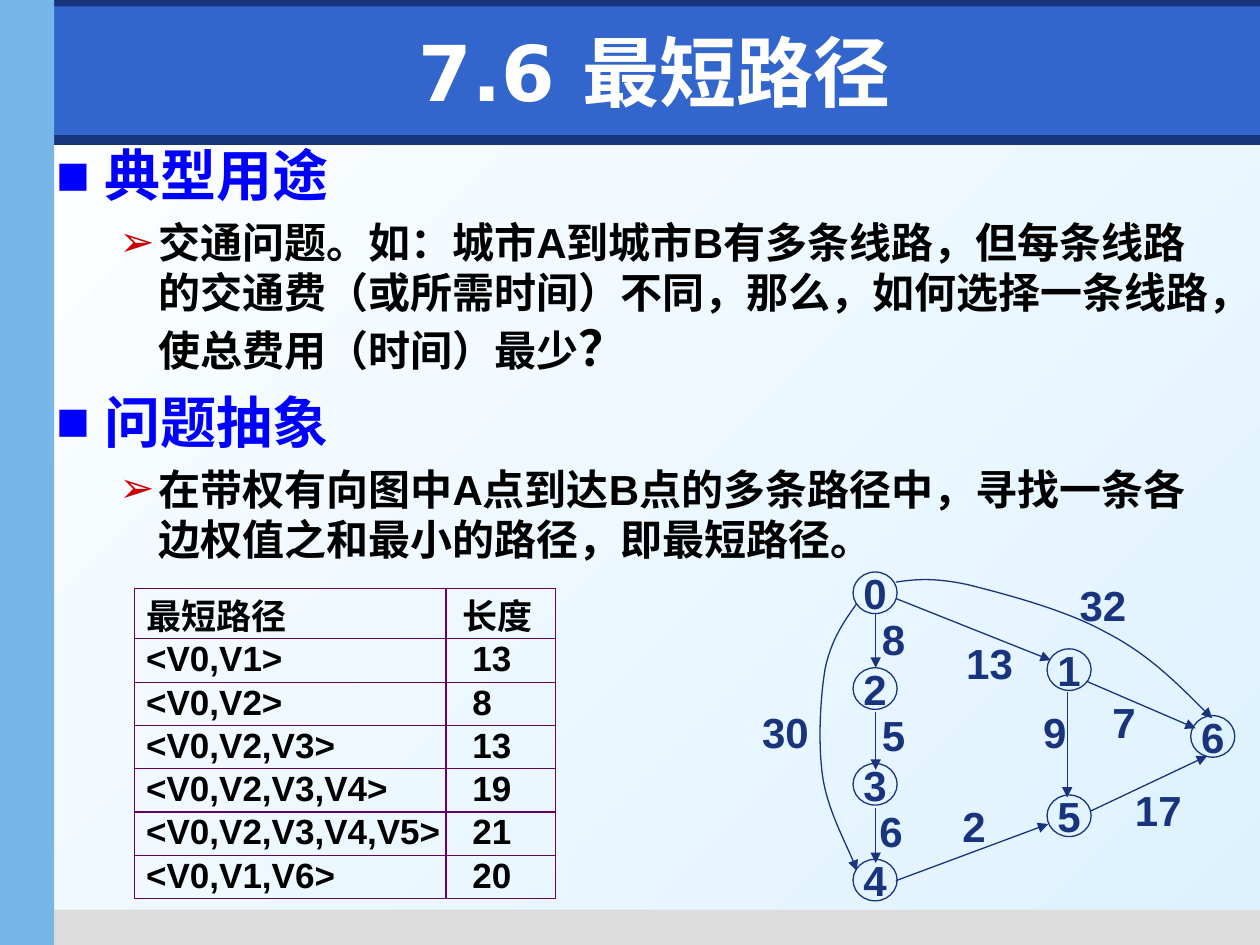
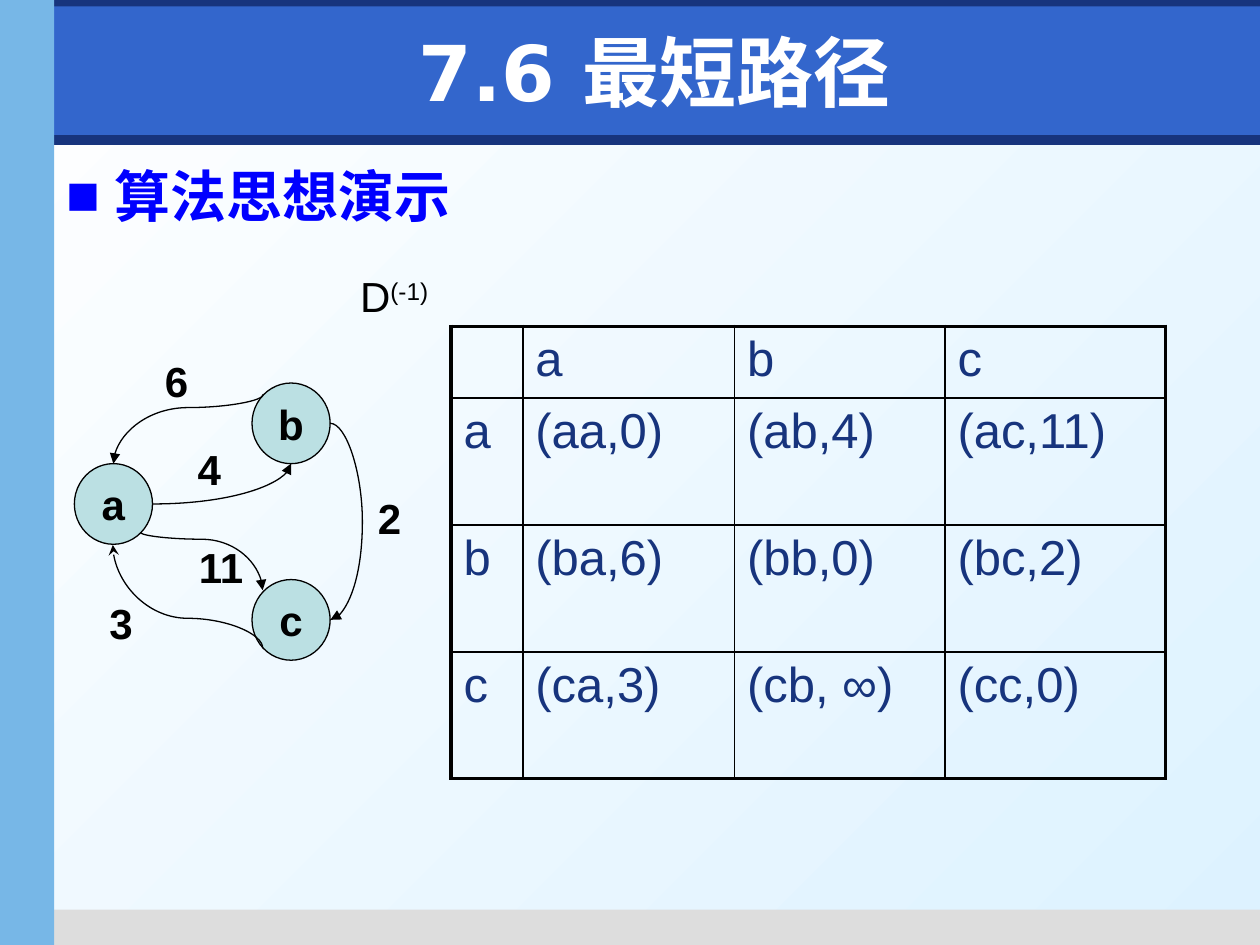
from lxml.etree import SubElement
from pptx import Presentation
from pptx.dml.color import RGBColor
from pptx.enum.shapes import MSO_CONNECTOR, MSO_SHAPE
from pptx.enum.text import MSO_ANCHOR, PP_ALIGN
from pptx.oxml.ns import qn
from pptx.util import Emu, Inches, Pt

NAVY = RGBColor(0x17, 0x34, 0x7D)
BLUE = RGBColor(0x33, 0x66, 0xCC)
SKY = RGBColor(0x77, 0xB7, 0xE7)
PALE = RGBColor(0xDD, 0xF2, 0xFF)
GREY = RGBColor(0xDD, 0xDD, 0xDD)
WHITE = RGBColor(0xFF, 0xFF, 0xFF)
BLACK = RGBColor(0, 0, 0)
HEADING = RGBColor(0, 0, 0xFF)
RED = RGBColor(0xCC, 0, 0)
PURPLE = RGBColor(0x66, 0, 0x66)
TEAL = RGBColor(0xBB, 0xE0, 0xE3)

# The slide is a grid of 100 columns by 75 rows
COLS, ROWS = 100, 75
UNIT = Inches(0.1)
TITLE = "7.6 最短路径"


def g(n):
    return Emu(round(n * UNIT))


def add_run(p, text, size, color, bold=True, font="Arial"):
    r = p.add_run()
    r.text = text
    r.font.size, r.font.bold, r.font.name = Pt(size), bold, font
    r.font.color.rgb = color
    return r


def paint(sp, fill=None, line=None):
    sp.shadow.inherit = False
    if fill is None:
        sp.fill.background()
    else:
        sp.fill.solid()
        sp.fill.fore_color.rgb = fill
    if line is None:
        sp.line.fill.background()
    else:
        sp.line.color.rgb = line
        sp.line.width = Pt(0.75)


def add_arrowhead(sp, end="tailEnd", kind="triangle"):
    ln = sp.line._get_or_add_ln()
    SubElement(ln, qn("a:" + end), type=kind)


# Shared look
def style_layout(prs, layout, s):
    """Gradient on the master, bands on the layout behind its placeholders."""
    fill = prs.slide_master.background.fill
    fill.gradient()
    fill.gradient_angle = 315
    for stop, color in zip(fill.gradient_stops, (WHITE, PALE)):
        stop.color.rgb = color
    bands = [
        (0.4, 10.7, COLS - 0.4, 0.8, NAVY),
        (3.5, 72.2, COLS - 3.5, 2.8, GREY),
        (0, 0, COLS, 2.1, NAVY),
        (4.3, 0.5, COLS - 4.3, 10.2, BLUE),
        (0, 0, 4.3, ROWS, SKY),
    ]
    for i, (x, y, w, h, color) in enumerate(bands):
        sp = s.shapes.add_shape(MSO_SHAPE.RECTANGLE, g(x), g(y), g(w), g(h))
        paint(sp, color)
        layout.shapes.element.insert(2 + i, sp.element)


def add_title(s):
    sp = s.shapes.title
    sp.left, sp.top, sp.width, sp.height = g(5.9), g(1.3), g(92.1), g(8.7)
    tf = sp.text_frame
    tf.vertical_anchor = MSO_ANCHOR.MIDDLE
    p = tf.paragraphs[0]
    p.alignment = PP_ALIGN.CENTER
    add_run(p, TITLE, 44, WHITE, font="DejaVu Sans")


# Text
def add_text(s, x, y, w, h, wrap=False):
    tf = s.shapes.add_textbox(g(x), g(y), g(w), g(h)).text_frame
    tf.word_wrap = wrap
    return tf


def add_label(s, x, y, text, color):
    tf = add_text(s, x, y, 2.1 * len(text) + 2.1, 5.2)
    add_run(tf.paragraphs[0], text, 24, color)


def set_bullet(p, char, color, left, hang):
    pPr = p._p.get_or_add_pPr()
    pPr.set("marL", str(g(left)))
    pPr.set("indent", str(-g(hang)))
    clr = SubElement(pPr, qn("a:buClr"))
    SubElement(clr, qn("a:srgbClr"), val=str(color))
    SubElement(pPr, qn("a:buFont"), typeface="Arial")
    SubElement(pPr, qn("a:buChar"), char=char)


def add_outline(s, x, y, items):
    """Items are (level, [(text, size), ...])."""
    tf = add_text(s, x, y, 93.7, 59, wrap=True)
    for i, (level, runs) in enumerate(items):
        p = tf.add_paragraph() if i else tf.paragraphs[0]
        p.level = level
        p.space_before = Pt(0.2 * runs[0][1])
        if level:
            set_bullet(p, "➢", RED, 8.1, 3.1)
        else:
            set_bullet(p, "■", HEADING, 3.8, 3.8)
        for text, size in runs:
            add_run(p, text, size, BLACK if level else HEADING)


# Graph parts
def add_node(s, x, y, w, h, text, color, fill=None):
    sp = s.shapes.add_shape(MSO_SHAPE.OVAL, g(x), g(y), g(w), g(h))
    paint(sp, fill, color)
    tf = sp.text_frame
    tf.word_wrap = False
    tf.vertical_anchor = MSO_ANCHOR.MIDDLE
    tf.margin_left = tf.margin_right = tf.margin_top = tf.margin_bottom = 0
    p = tf.paragraphs[0]
    p.alignment = PP_ALIGN.CENTER
    add_run(p, text, 24, color)


def add_edge(s, x1, y1, x2, y2, color, kind=MSO_CONNECTOR.STRAIGHT):
    c = s.shapes.add_connector(kind, g(x1), g(y1), g(x2), g(y2))
    c.line.color.rgb = color
    c.line.width = Pt(0.75)
    SubElement(c.element.spPr, qn("a:effectLst"))
    return c


def add_curved_edge(s, box, turn, flip, adjust, head=("tailEnd", "triangle")):
    """A curved connector in a box that is flipped, then turned."""
    x, y, w, h = box
    xs = (x + w, x) if "h" in flip else (x, x + w)
    ys = (y + h, y) if "v" in flip else (y, y + h)
    c = add_edge(s, xs[0], ys[0], xs[1], ys[1], BLACK, MSO_CONNECTOR.CURVE)
    c.element.spPr.find(qn("a:xfrm")).set("rot", str(turn * 60000))
    geom = c.element.spPr.find(qn("a:prstGeom"))
    if adjust is None:
        geom.set("prst", "curvedConnector2")
    else:
        guides = geom.find(qn("a:avLst"))
        if guides is None:
            guides = SubElement(geom, qn("a:avLst"))
        SubElement(guides, qn("a:gd"), name="adj1",
                   fmla=f"val {round(adjust * 100000)}")
    add_arrowhead(c, *head)


def add_bezier(s, points, color):
    """A start point, then three points for each cubic segment."""
    start, *rest = [(g(x), g(y)) for x, y in points]
    builder = s.shapes.build_freeform(*start)
    builder.add_line_segments(rest, close=False)
    sp = builder.convert_to_shape()
    paint(sp, None, color)
    path = sp.element.spPr.find(".//" + qn("a:path"))
    steps = path.findall(qn("a:lnTo"))
    for i in range(0, len(steps), 3):
        cubic = SubElement(path, qn("a:cubicBezTo"))
        for step in steps[i:i + 3]:
            cubic.append(step[0])
            path.remove(step)
    add_arrowhead(sp)


# Tables
def set_borders(cell, widths, color):
    tcPr = cell._tc.get_or_add_tcPr()
    for i, (side, width) in enumerate(zip("LRTB", widths)):
        ln = SubElement(tcPr, qn("a:ln" + side), w=str(Pt(width)))
        solid = SubElement(ln, qn("a:solidFill"))
        SubElement(solid, qn("a:srgbClr"), val=str(color))
        tcPr.insert(i, ln)


def add_grid(s, x, y, widths, heights, data, size, color, bold, border,
             inner, outer, margins=None):
    nr, nc = len(heights), len(widths)
    t = s.shapes.add_table(nr, nc, g(x), g(y), g(sum(widths)),
                           g(sum(heights))).table
    t.first_row = t.horz_banding = False
    for col, w in zip(t.columns, widths):
        col.width = g(w)
    for row, h in zip(t.rows, heights):
        row.height = g(h)
    for i, row in enumerate(data):
        for j, text in enumerate(row):
            cell = t.cell(i, j)
            cell.fill.background()
            edges = (j == 0, j == nc - 1, i == 0, i == nr - 1)
            set_borders(cell, [outer if e else inner for e in edges], border)
            if margins:
                cell.margin_left = g(margins[j])
                cell.margin_top = g(0.1 if i else 0)
                cell.margin_right = cell.margin_bottom = 0
            if text:
                add_run(cell.text_frame.paragraphs[0], text, size, color, bold)
    return t


def build_problem(s):
    add_title(s)
    add_outline(s, 3.5, 10.7, [
        (0, [("典型用途", 32)]),
        (1, [("交通问题。如：城市A到城市B有多条线路，但每条线路的交通费（或所需时间）"
              "不同，那么，如何选择一条线路，使总费用（时间）最少", 24), ("？", 28)]),
        (0, [("问题抽象", 32)]),
        (1, [("在带权有向图中A点到达B点的多条路径中，寻找一条各边权值之和最小的路径，"
              "即最短路径。", 24)]),
    ])
    # Weighted graph: a column of four nodes and three to its right
    nodes = [(67.7, 45.4 + 7.6 * i, n) for i, n in enumerate("0234")]
    nodes += [(83.1, 51.5, "1"), (83.1, 63.1, "5"), (94.5, 56.8, "6")]
    for x, y, name in nodes:
        add_node(s, x, y, 3.5, 3.3, name, NAVY)
    for ends in [
        (69.5, 48.7, 69.5, 53), (69.5, 56.5, 69.5, 61.1),
        (69.5, 64.1, 69.5, 68.5), (71.1, 47.5, 83.4, 52.4),
        (86.3, 54.1, 94.9, 57.8), (71.1, 69.9, 83.2, 65.4),
        (86.5, 64.4, 95.8, 60), (84.7, 54.9, 84.7, 63.3),
    ]:
        add_arrowhead(add_edge(s, *ends, NAVY))
    add_bezier(s, [(68, 47.9), (67, 49.3), (66, 50.7), (65.5, 53),
                   (65.1, 55.3), (64.9, 59), (65.3, 61.7),
                   (65.7, 64.3), (67.6, 67.8), (68, 69.1)], NAVY)
    add_bezier(s, [(71.1, 46.2), (72.5, 46), (74, 45.8), (76.8, 46.4),
                   (79.6, 47.1), (84.6, 48.4), (87.8, 50.2),
                   (91.1, 51.9), (93.6, 54.4), (96.2, 57)], NAVY)
    for x, y, weight in [
        (69, 48.2, "8"), (69, 55.8, "5"), (68.8, 63.4, "6"), (75.4, 63, "2"),
        (59.5, 55.6, "30"), (75.7, 50.1, "13"), (87.3, 54.8, "7"),
        (89.1, 61.8, "17"), (84.7, 45.5, "32"), (81.8, 55.6, "9"),
    ]:
        add_label(s, x, y, weight, NAVY)
    # Path lengths
    data = [("最短路径", "长度"), ("<V0,V1>", "13"), ("<V0,V2>", "8"),
            ("<V0,V2,V3>", "13"), ("<V0,V2,V3,V4>", "19"),
            ("<V0,V2,V3,V4,V5>", "21"), ("<V0,V1,V6>", "20")]
    t = add_grid(s, 10.7, 46.7, [24.7, 8.7], [4] + [3.38] * 6, data, 20,
                 BLACK, True, PURPLE, 0.75, 0.75, margins=(0.9, 2.1))
    t.cell(0, 1).margin_left = g(1.3)


def build_demo(s):
    add_title(s)
    add_outline(s, 4.3, 12.3, [(0, [("算法思想演示", 32)])])
    # Directed graph
    for x, y, name in [(5.9, 36.8, "a"), (20, 30.4, "b"), (20, 46, "c")]:
        add_node(s, x, y, 6.2, 6.4, name, BLACK, TEAL)
    add_curved_edge(s, (12.1, 36.8, 11, 3.2), 0, "v", None)
    add_curved_edge(s, (12.2, 28.1, 5.5, 11.9), 270, "hv", 0.19)
    add_curved_edge(s, (13.7, 39.7, 4.6, 9.7), 270, "h", 0.12)
    add_curved_edge(s, (10.8, 41.4, 8.2, 11.9), 270, "h", 0.71,
                    ("headEnd", "stealth"))
    add_curved_edge(s, (26.2, 33.6, 0.02, 15.6), 0, "", 130)
    for x, y, weight in [(14.8, 42.5, "11"), (12.1, 27.7, "6"),
                         (14.7, 34.7, "4"), (29, 38.6, "2"), (7.7, 46.9, "3")]:
        add_label(s, x, y, weight, BLACK)
    # Distance matrix
    data = [("", "a", "b", "c"),
            ("a", "(aa,0)", "(ab,4)", "(ac,11)"),
            ("b", "(ba,6)", "(bb,0)", "(bc,2)"),
            ("c", "(ca,3)", "(cb, ∞)", "(cc,0)")]
    add_grid(s, 35.8, 25.9, [5.7, 16.8, 16.7, 17.5], [5.7] + [10.07] * 3,
             data, 28, NAVY, False, BLACK, 1, 2.25)
    p = add_text(s, 27.6, 21, 10, 5, wrap=True).paragraphs[0]
    add_run(p, "D", 24, BLACK, bold=False)
    r = add_run(p, "(-1)", 24, BLACK, bold=False)
    r.font._element.set("baseline", "30000")


def main():
    prs = Presentation()
    prs.slide_width, prs.slide_height = g(COLS), g(ROWS)
    layout = prs.slide_layouts[5]
    slides = [prs.slides.add_slide(layout) for _ in range(2)]
    style_layout(prs, layout, slides[0])
    build_problem(slides[0])
    build_demo(slides[1])
    prs.save("out.pptx")


main()
